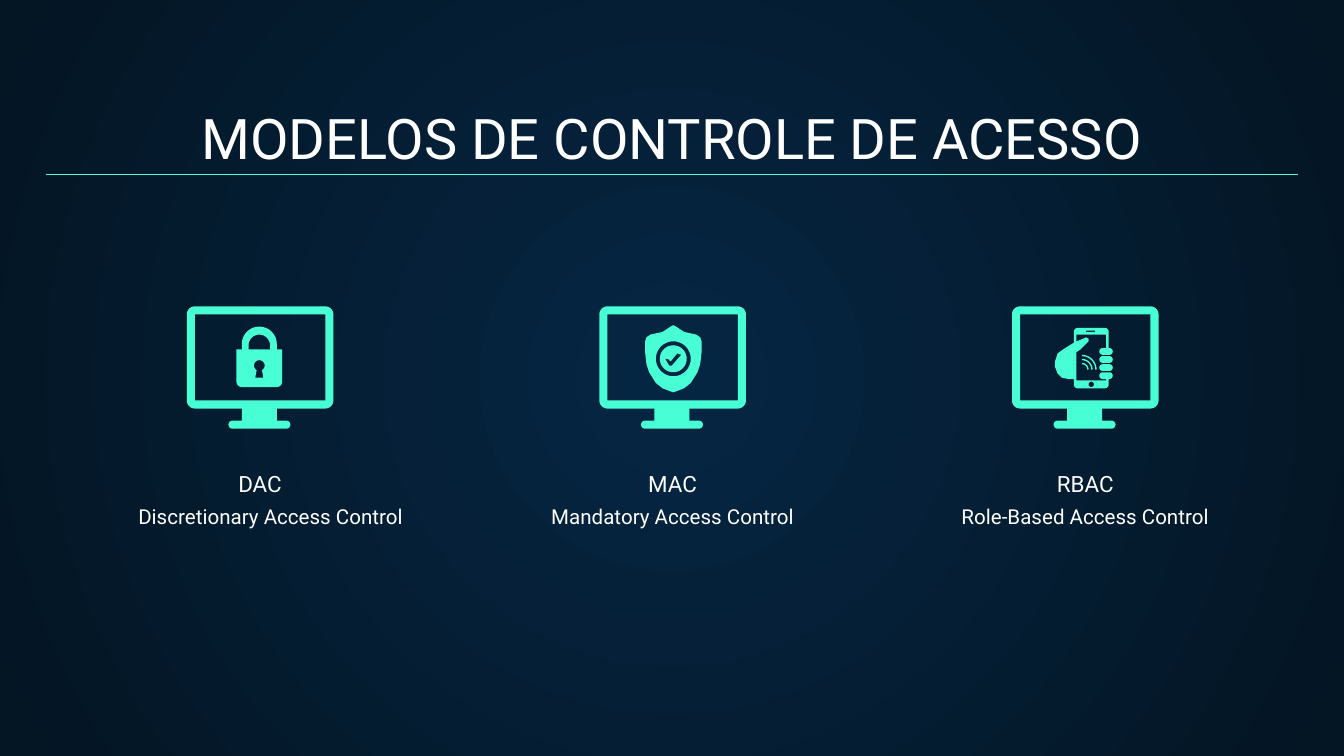
from math import cos, radians, sin

from lxml import etree
from pptx import Presentation
from pptx import util as u
from pptx.dml.color import RGBColor
from pptx.enum import shapes, text
from pptx.oxml import ns

MINT = RGBColor(0x48, 0xFF, 0xD5)
WHITE = RGBColor(0xFF, 0xFF, 0xFF)
NAVY = RGBColor(0x05, 0x26, 0x43)
MIDNIGHT = RGBColor(0x04, 0x15, 0x23)
FONT = "Roboto"


def arc(x, y, radius, start, end, steps=16):
    angles = [radians(start + (end - start) * i / steps) for i in range(steps + 1)]
    return [(x + radius * cos(a), y + radius * sin(a)) for a in angles]


def circle(x, y, radius):
    return arc(x, y, radius, 0, 360, 40)


def rectangle(left, top, width, height):
    right, bottom = left + width, top + height
    return [(left, top), (right, top), (right, bottom), (left, bottom)]


def pill(left, top, width, height):
    radius = height / 2
    middle = top + radius
    return (arc(left + radius, middle, radius, 90, 270)
            + arc(left + width - radius, middle, radius, -90, 90))


def add_outline(slide, left, top, contours):
    placed = [[(u.Inches(left + x), u.Inches(top + y)) for x, y in contour]
              for contour in contours]
    builder = slide.shapes.build_freeform(*placed[0][0], scale=1.0)
    for index, contour in enumerate(placed):
        if index:
            builder.move_to(*contour[0])
        builder.add_line_segments(contour[1:], close=True)
    shape = builder.convert_to_shape()
    shape.shadow.inherit = False
    shape.fill.solid()
    shape.fill.fore_color.rgb = MINT
    shape.line.fill.background()


def add_label(slide, left, top, width, height, words, size, anchor):
    box = slide.shapes.add_textbox(*map(u.Inches, (left, top, width, height)))
    frame = box.text_frame
    frame.word_wrap = True
    frame.auto_size = text.MSO_AUTO_SIZE.NONE
    frame.vertical_anchor = anchor
    frame.margin_left = frame.margin_right = u.Inches(0.1)
    frame.margin_top = frame.margin_bottom = u.Inches(0.1)
    paragraph = frame.paragraphs[0]
    paragraph.alignment = text.PP_ALIGN.CENTER
    run = paragraph.add_run()
    run.text = words
    run.font.name = FONT
    run.font.size = u.Pt(size)
    run.font.color.rgb = WHITE


def add_monitor(slide, left, top):
    outline = (arc(0.06, 0.06, 0.06, 180, 270) + arc(1.03, 0.06, 0.06, 270, 360)
               + arc(1.03, 0.7, 0.06, 0, 90) + [(0.67, 0.76), (0.67, 0.85)]
               + arc(0.74, 0.88, 0.03, -90, 90) + arc(0.34, 0.88, 0.03, 90, 270)
               + [(0.41, 0.85), (0.41, 0.76)] + arc(0.06, 0.7, 0.06, 90, 180))
    add_outline(slide, left, top, [outline, rectangle(0.06, 0.06, 0.97, 0.64)])


def add_padlock(slide, left, top):
    body = (arc(0.17, 0.13, 0.13, 180, 360) + [(0.3, 0.17), (0.34, 0.17)]
            + arc(0.3, 0.41, 0.04, 0, 90) + arc(0.04, 0.41, 0.04, 90, 180)
            + [(0, 0.17), (0.04, 0.17)])
    shackle = arc(0.17, 0.14, 0.08, 180, 360) + [(0.25, 0.17), (0.09, 0.17)]
    keyhole = arc(0.17, 0.29, 0.04, 120, 420) + [(0.2, 0.38), (0.14, 0.38)]
    add_outline(slide, left, top, [body, shackle, keyhole])


def add_shield(slide, left, top):
    half = [(0, 0), (0.02, 0.01), (0.08, 0.05), (0.17, 0.07), (0.2, 0.09), (0.21, 0.12),
            (0.21, 0.2), (0.2, 0.29), (0.18, 0.35), (0.13, 0.43), (0.08, 0.47), (0, 0.5)]
    edge = [(0.22 + x, y) for x, y in half] + [(0.22 - x, y) for x, y in half[-2:0:-1]]
    tick = [(0.16, 0.25), (0.18, 0.25), (0.2, 0.27), (0.25, 0.21),
            (0.28, 0.22), (0.21, 0.3), (0.19, 0.3)]
    add_outline(slide, left, top, [circle(0.22, 0.25, 0.1), tick])
    add_outline(slide, left, top, [edge, circle(0.22, 0.25, 0.13)])


def add_phone(slide, left, top):
    screen = [(0.38, 0.15), (0.38, 0.05), (0.16, 0.05), (0.16, 0.1)]
    thumb = [(0.21, 0.08), (0.23, 0.07), (0.25, 0.08), (0.25, 0.1),
             (0.19, 0.16), (0.16, 0.18)]
    lower = [(0.16, 0.39), (0.38, 0.39), (0.38, 0.38), (0.4, 0.38)]
    palm = [(0.14, 0.38), (0.1, 0.38), (0.05, 0.37), (0.02, 0.34), (0, 0.29),
            (0, 0.25), (0.02, 0.19), (0.06, 0.16), (0.14, 0.11)]
    body = (screen + thumb + lower + arc(0.37, 0.42, 0.03, 0, 90)
            + arc(0.17, 0.42, 0.03, 90, 180) + palm + arc(0.17, 0.03, 0.03, 180, 270)
            + arc(0.37, 0.03, 0.03, 270, 360) + [(0.4, 0.15)])
    fingers = [pill(0.33, y, 0.1, 0.05) for y in (0.15, 0.21, 0.27, 0.33)]
    waves = [arc(0.2, 0.31, outer, 270, 360) + arc(0.2, 0.31, inner, 360, 270)
             for outer, inner in ((0.11, 0.1), (0.08, 0.07), (0.05, 0.04))]
    details = [pill(0.23, 0.02, 0.07, 0.01), circle(0.27, 0.42, 0.02)]
    add_outline(slide, left, top, [body, *fingers, *waves, *details])


def add_background(slide):
    fill = slide.background.fill
    fill.gradient()
    for stop, color in zip(fill.gradient_stops, (NAVY, MIDNIGHT)):
        stop.color.rgb = color
    gradient = slide.element.xpath(".//a:gradFill")[0]
    gradient.remove(gradient.find(ns.qn("a:lin")))
    focus = etree.SubElement(gradient, ns.qn("a:path"), {"path": "circle"})
    etree.SubElement(focus, ns.qn("a:fillToRect"), dict.fromkeys("ltrb", "50000"))


def add_title(slide, left, top, width, height):
    add_label(slide, left, top, width, height, "MODELOS DE CONTROLE DE ACESSO", 30,
              text.MSO_ANCHOR.BOTTOM)
    rule = slide.shapes.add_connector(
        shapes.MSO_CONNECTOR.STRAIGHT,
        *map(u.Inches, (left, top + 0.59, left + width, top + 0.59)))
    rule.line.color.rgb = MINT
    rule.line.width = u.Pt(0.75)
    etree.SubElement(rule.element.spPr, ns.qn("a:effectLst"))


def add_model(slide, left, top, name, caption, caption_width, add_symbol, symbol_offset):
    add_monitor(slide, left + 0.59, top)
    x, y = symbol_offset
    add_symbol(slide, left + 0.59 + x, top + y)
    add_label(slide, left + 0.1, top + 1.37, caption_width, 0.55, caption, 11,
              text.MSO_ANCHOR.TOP)
    add_label(slide, left, top + 1.31, 2.27, 0.21, name, 12, text.MSO_ANCHOR.BOTTOM)


def main():
    presentation = Presentation()
    presentation.slide_width = u.Inches(10)
    presentation.slide_height = presentation.slide_width * 9 // 16
    slide = presentation.slides.add_slide(presentation.slide_layouts[6])
    add_background(slide)
    add_title(slide, 0.34, 0.71, 9.32, 0.66)
    models = [
        ("DAC", "Discretionary Access Control", 2.23, add_padlock, (0.37, 0.15)),
        ("MAC", "Mandatory Access Control", 2.07, add_shield, (0.33, 0.14)),
        ("RBAC", "Role-Based Access Control", 2.07, add_phone, (0.32, 0.16)),
    ]
    for index, model in enumerate(models):
        add_model(slide, 0.8 + 3.07 * index, 2.28, *model)
    presentation.save("out.pptx")


if __name__ == "__main__":
    main()
